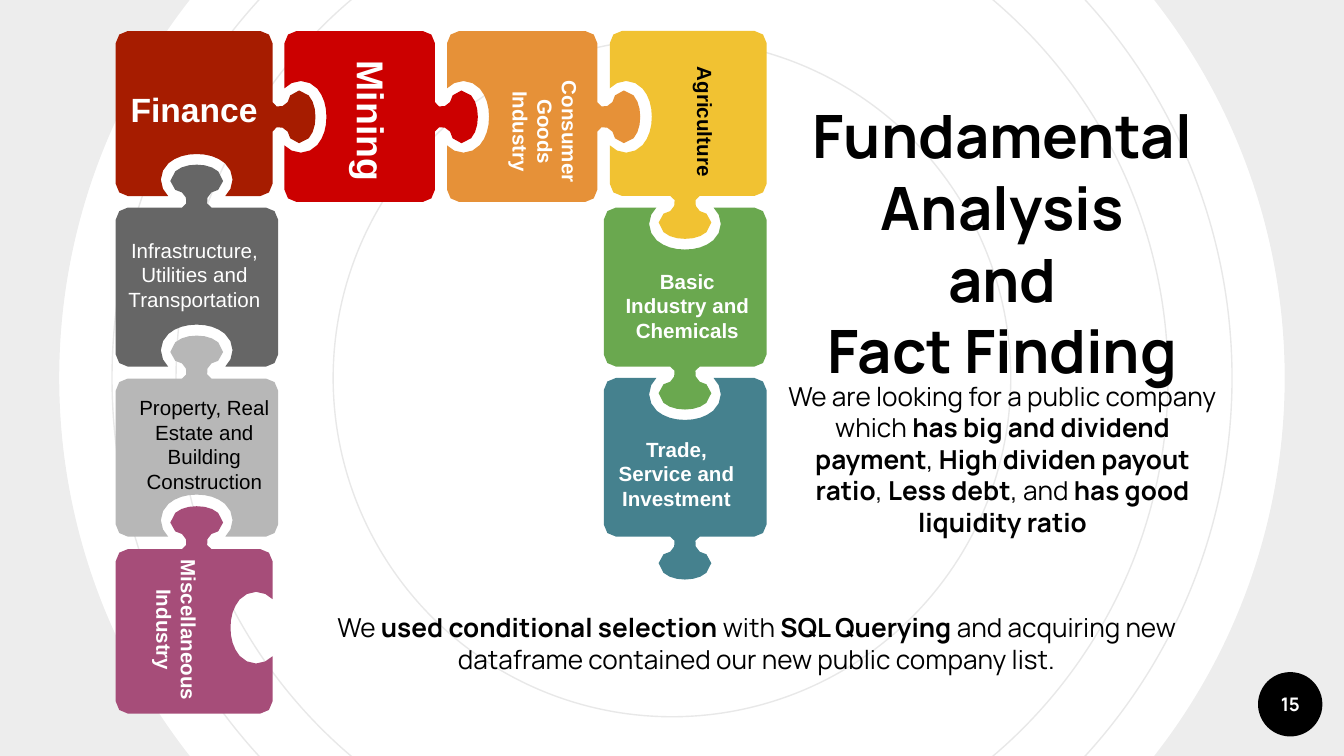
from math import dist
from typing import NamedTuple

from lxml.etree import SubElement
from pptx import Presentation
from pptx.dml.color import RGBColor
from pptx.enum.shapes import MSO_SHAPE
from pptx.enum.text import MSO_ANCHOR, PP_ALIGN
from pptx.oxml.ns import qn
from pptx.util import Pt

COLORS = {
    "black": "000000", "white": "FFFFFF", "ring": "E8E8E8",
    "dark red": "A61C00", "red": "CC0000", "orange": "E69138",
    "yellow": "F1C232", "green": "6AA84F", "teal": "45818E",
    "dark gray": "666666", "light gray": "B7B7B7", "plum": "A64D79",
}
Point = tuple[float, float]
CENTER = (360, 202.5)
CORNER_RADIUS = 6.5
SEGMENT_LENGTH = 4
LEFT_JOINT, RIGHT_JOINT, TOP_JOINT, BOTTOM_JOINT = 105.4, 367, 62.6, 336.3

# Half outlines of a joint, from the edge to its tip: (distance from axis, depth).
# Each starts with one point, then has three Bezier points per curve.
KNOB = [(7.9, 0),
        (7.2, 0), (5.8, 0.7), (5.6, 2.2),
        (5.4, 4.3), (5.5, 6.5), (7.9, 8.1),
        (8.6, 8.7), (10, 9.2), (11.5, 9.5),
        (15, 11.8), (15, 16.5), (11.5, 19.4),
        (8.6, 22), (4.3, 23), (0, 23)]
SOCKET = [(15.3, 0),
          (17.5, 2.2), (19.2, 5.2), (19.2, 8.8),
          (19.2, 12.4), (17.5, 15.2), (15.1, 17.6),
          (11, 21), (5.8, 22.5), (0, 22.5)]


class Piece(NamedTuple):
    left: float
    top: float
    right: float
    bottom: float
    color: str
    knob: str
    socket: str
    joint_x: float = LEFT_JOINT
    joint_y: float = TOP_JOINT


class Label(NamedTuple):
    text: str
    box: tuple[float, float, float, float]
    size: float = 11
    color: str = "white"
    rotation: float = 0


PIECES = [
    Piece(62, 111.2, 149, 196.4, "dark gray", "top", "bottom"),
    Piece(62, 202.8, 149, 287.5, "light gray", "top", "bottom"),
    Piece(152.4, 16.6, 233, 108.2, "red", "right", "left"),
    Piece(239.5, 16.6, 320, 108.2, "orange", "right", "left"),
    Piece(62, 294.2, 146, 382.3, "plum", "top", "right", joint_y=BOTTOM_JOINT),
    Piece(62, 16.6, 146, 105, "dark red", "right", "bottom"),
    Piece(326.7, 16.6, 410.7, 105, "yellow", "bottom", "left", RIGHT_JOINT),
    Piece(323.5, 111.2, 410.7, 196.4, "green", "bottom", "top", RIGHT_JOINT),
    Piece(323.5, 202.5, 410.7, 287.5, "teal", "bottom", "top", RIGHT_JOINT),
]
LABELS = [
    Label("**Finance**", (62, 44, 84, 29), 18),
    Label("Infrastructure, Utilities and Transportation", (56.2, 123.8, 96, 47.5)),
    Label("Property, Real Estate and Building Construction",
          (67.5, 208, 84, 60.5), color="black"),
    Label("**Miscellaneous Industry**", (49.5, 320.4, 90, 34), rotation=90),
    Label("**Mining**", (157, 49, 84, 31.5), 20, rotation=90),
    Label("**Consumer Goods Industry**", (249.8, 46.8, 84, 47.5), rotation=90),
    Label("**Agriculture**", (335.5, 54.7, 84, 21), color="black", rotation=90),
    Label("**Basic Industry and Chemicals**", (326.2, 140.4, 84, 47.5)),
    Label("**Trade, Service and Investment**", (320.4, 230.4, 84, 47.5)),
]


def rgb(name: str) -> RGBColor:
    return RGBColor.from_string(COLORS[name])


def flatten(curves: list[Point]) -> list[Point]:
    """Turn a chain of cubic Bezier curves into points, more on longer curves."""
    points = [curves[0]]
    for first in range(0, len(curves) - 1, 3):
        a, b, c, d = curves[first:first + 4]
        steps = max(1, round(dist(a, d) / SEGMENT_LENGTH))
        for step in range(1, steps + 1):
            t = step / steps
            u = 1 - t
            points.append(tuple(
                u**3 * a[i] + 3 * u * u * t * b[i] + 3 * u * t * t * c[i] + t**3 * d[i]
                for i in (0, 1)))
    return points


def joint_profile(half: list[Point], sign: int) -> list[Point]:
    """Mirror a half outline into (along edge, outward) offsets."""
    points = flatten(half)
    return ([(-x, sign * depth) for x, depth in points]
            + [(x, sign * depth) for x, depth in reversed(points[:-1])])


def outline(piece: Piece) -> list[Point]:
    """Walk the four edges clockwise, adding joints and round corners."""
    left, top, right, bottom = piece[:4]
    edges = {
        "top": ((piece.joint_x, top), (right, top)),
        "right": ((right, piece.joint_y), (right, bottom)),
        "bottom": ((piece.joint_x, bottom), (left, bottom)),
        "left": ((left, piece.joint_y), (left, top)),
    }
    points = []
    dx, dy = 1, 0
    for side, ((joint_x, joint_y), (corner_x, corner_y)) in edges.items():
        profile = []
        if side == piece.knob:
            profile = joint_profile(KNOB, 1)
        elif side == piece.socket:
            profile = joint_profile(SOCKET, -1)
        points += [(joint_x + dx * along + dy * out, joint_y + dy * along - dx * out)
                   for along, out in profile]
        before = [(corner_x - dx * r, corner_y - dy * r)
                  for r in (CORNER_RADIUS, CORNER_RADIUS * 0.45)]
        dx, dy = -dy, dx
        after = [(corner_x + dx * r, corner_y + dy * r)
                 for r in (CORNER_RADIUS * 0.45, CORNER_RADIUS)]
        points += flatten(before + after)
    return points


def draw_piece(shapes, piece: Piece) -> None:
    start, *rest = [(Pt(x), Pt(y)) for x, y in outline(piece)]
    builder = shapes.build_freeform(*start)
    builder.add_line_segments(rest, close=True)
    puzzle = builder.convert_to_shape()
    puzzle.shadow.inherit = False
    puzzle.fill.solid()
    puzzle.fill.fore_color.rgb = rgb(piece.color)
    puzzle.line.fill.background()


def draw_round(shapes, center: Point, diameter: float, fill: str | None = None,
               line: str | None = None, kind=MSO_SHAPE.OVAL):
    x, y = (value - diameter / 2 for value in center)
    circle = shapes.add_shape(kind, Pt(x), Pt(y), Pt(diameter), Pt(diameter))
    circle.shadow.inherit = False
    if fill:
        circle.fill.solid()
        circle.fill.fore_color.rgb = rgb(fill)
    else:
        circle.fill.background()
    if line:
        circle.line.color.rgb = rgb(line)
        circle.line.width = Pt(0.75)
    else:
        circle.line.fill.background()
    return circle


def add_text(shapes, text: str, box: tuple[float, float, float, float], *,
             size: float, color: str = "black", font: str = "Manrope",
             anchor=MSO_ANCHOR.TOP, margin_y: float = 7.2,
             space_before: float = 0, rotation: float = 0) -> None:
    """Add centred text; ** switches bold and a newline breaks the line."""
    holder = shapes.add_textbox(*(Pt(value) for value in box))
    holder.rotation = rotation
    frame = holder.text_frame
    frame.word_wrap = True
    frame.vertical_anchor = anchor
    frame.margin_left = frame.margin_right = Pt(7.2)
    frame.margin_top = frame.margin_bottom = Pt(margin_y)
    paragraph = frame.paragraphs[0]
    paragraph.alignment = PP_ALIGN.CENTER
    paragraph.space_before = Pt(space_before)
    paragraph.font.size = Pt(size)
    for part, passage in enumerate(text.split("**")):
        for number, words in enumerate(passage.split("\n")):
            if number:
                paragraph.add_line_break()
            if words:
                run = paragraph.add_run()
                run.text = words
                run.font.name = font
                run.font.size = Pt(size)
                run.font.bold = part % 2 == 1
                run.font.color.rgb = rgb(color)


def main() -> None:
    deck = Presentation()
    deck.slide_width, deck.slide_height = Pt(720), Pt(405)
    shapes = deck.slides.add_slide(deck.slide_layouts[6]).shapes

    for diameter in (600, 531.4, 363):
        draw_round(shapes, CENTER, diameter, line="ring")
    halo = draw_round(shapes, CENTER, 831, fill="black", kind=MSO_SHAPE.DONUT)
    halo.adjustments[0] = 0.105
    halo_color = halo.fill._xPr.find(f".//{qn('a:srgbClr')}")
    SubElement(halo_color, qn("a:alpha"), val="7000")
    draw_round(shapes, (691.2, 377.3), 34.5, fill="black")

    add_text(shapes, "**Fundamental Analysis\nand\nFact Finding**",
             (393.8, 56.2, 286.6, 157.7), size=32, anchor=MSO_ANCHOR.BOTTOM)
    add_text(shapes, "We are looking for a public company which **has big and dividend "
             "payment**, **High dividen payout ratio**, **Less debt**, and "
             "**has good liquidity ratio**",
             (410.4, 196.6, 253.4, 123.8), size=14, space_before=6)
    add_text(shapes, "**15**", (674, 360, 34.5, 34.5), size=10, color="white",
             anchor=MSO_ANCHOR.MIDDLE)
    for piece in PIECES:
        draw_piece(shapes, piece)
    for label in LABELS:
        add_text(shapes, label.text, label.box, size=label.size, color=label.color,
                 font="Arial", margin_y=3.6, rotation=label.rotation)
    add_text(shapes, "We **used conditional selection** with **SQL Querying **and "
             "acquiring new dataframe contained our new public company list.",
             (157.7, 320.4, 495.4, 56.2), size=14, space_before=6)
    deck.save("out.pptx")


if __name__ == "__main__":
    main()
